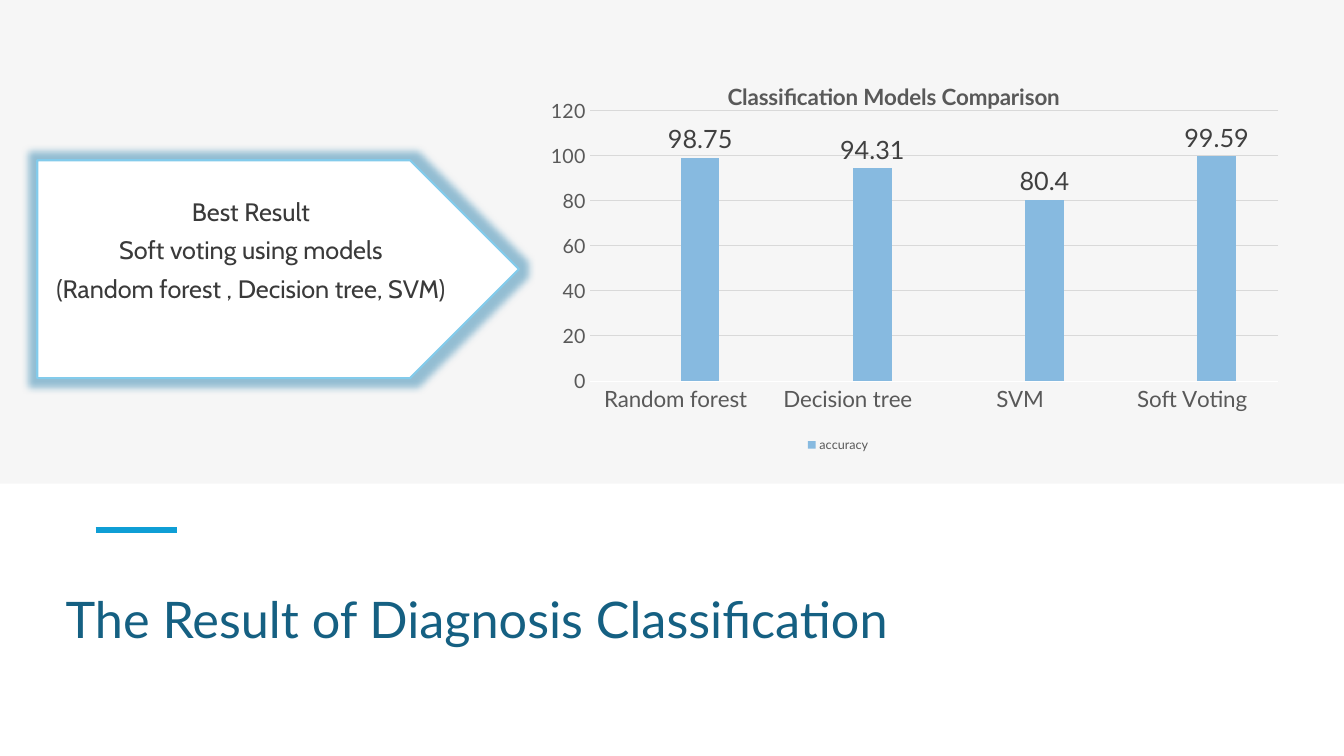
from pptx import Presentation
from pptx.chart.data import CategoryChartData as ChartData
from pptx.dml.color import RGBColor
from pptx.enum.chart import XL_CHART_TYPE as Kind, XL_LABEL_POSITION as Spot
from pptx.enum.chart import XL_LEGEND_POSITION as Side, XL_TICK_MARK as Tick
from pptx.enum.shapes import MSO_CONNECTOR as Link, MSO_SHAPE as Shape
from pptx.enum.text import MSO_ANCHOR as Anchor, MSO_AUTO_SIZE as Auto, PP_ALIGN as Align
from pptx.oxml import parse_xml
from pptx.oxml.ns import nsdecls, qn
from pptx.util import Cm, Pt

WHITE = RGBColor(0xFF, 0xFF, 0xFF)
PALE = RGBColor(0xF2, 0xF2, 0xF2)
NAVY = RGBColor(0x15, 0x60, 0x82)
BLUE = RGBColor(0x0F, 0x9E, 0xD5)
SKY = RGBColor(0x83, 0xCB, 0xEB)
TEAL = RGBColor(0x0D, 0x8C, 0xBD)
BAR = RGBColor(0x87, 0xBA, 0xE0)
GLOW = RGBColor(0x00, 0x69, 0x9E)
INK = RGBColor(0x3A, 0x3A, 0x3A)
DARK = RGBColor(0x40, 0x40, 0x40)
GREY = RGBColor(0x59, 0x59, 0x59)
GRID = RGBColor(0xD9, 0xD9, 0xD9)

SCORES = {"Random forest": 98.75, "Decision tree": 94.31, "SVM": 80.4, "Soft Voting": 99.59}
RESULT = ("Best Result", "Soft voting using models", "(Random forest , Decision tree, SVM)")


def assign(item, **values):
    """Set each named attribute of an item."""
    for name, value in values.items():
        setattr(item, name, value)


def style(font, size, color, face="Lato", bold=False):
    """Format a font."""
    assign(font, size=Pt(size), name=face, bold=bold)
    font.color.rgb = color


def paint(item, color):
    """Give an item a solid fill."""
    item.fill.solid()
    item.fill.fore_color.rgb = color


def stroke(line, color, width):
    """Give a line a colour and a width in points."""
    line.color.rgb = color
    line.width = Pt(width)


def place(part, after, target="", **spots):
    """Fix the layout of a chart part, behind its first children."""
    for old in part.findall(qn("c:layout")):
        part.remove(old)
    modes = "".join(f'<c:{key}Mode val="edge"/>' for key in "xy")
    values = "".join(f'<c:{key} val="{value}"/>' for key, value in spots.items())
    part.insert(after, parse_xml(
        f'<c:layout {nsdecls("c")}><c:manualLayout>{target}{modes}{values}'
        "</c:manualLayout></c:layout>"))


def add_title(slide, left, top, width, height):
    """Place the slide title in its box."""
    title = slide.shapes.title
    assign(title, left=left, top=top, width=width, height=height)
    frame = title.text_frame
    assign(frame, text="The Result of Diagnosis Classification", word_wrap=True,
           auto_size=Auto.NONE, vertical_anchor=Anchor.MIDDLE)
    para = frame.paragraphs[0]
    assign(para, alignment=Align.LEFT, line_spacing=0.9, space_after=Pt(3.5))
    style(para.font, 36, NAVY)


def add_band(slide, left, top, width, height):
    """Draw the pale band and the short accent rule below it."""
    band = slide.shapes.add_shape(Shape.RECTANGLE, left, top, width, height)
    band.shadow.inherit = False
    paint(band, PALE)
    band.line.fill.background()
    tint = band._element.spPr.find(".//" + qn("a:srgbClr"))
    tint.append(parse_xml(f'<a:alpha {nsdecls("a")} val="65000"/>'))
    start, level = left + Cm(2.41), top + height + Cm(1.17)
    rule = slide.shapes.add_connector(Link.STRAIGHT, start, level, start + Cm(2.04), level)
    stroke(rule.line, BLUE, 4.5)
    rule._element.spPr.append(parse_xml(f'<a:effectLst {nsdecls("a")}/>'))


def format_axes(chart):
    """Format both axes and the grid."""
    cats, vals = chart.category_axis, chart.value_axis
    for axis, size in ((cats, 16), (vals, 14)):
        assign(axis, major_tick_mark=Tick.NONE, minor_tick_mark=Tick.NONE)
        style(axis.tick_labels.font, size, GREY)
    stroke(cats.format.line, WHITE, 0.75)
    vals.format.line.fill.background()
    assign(vals, minimum_scale=0, maximum_scale=120, major_unit=20, has_major_gridlines=True)
    stroke(vals.major_gridlines.format.line, GRID, 0.75)


def format_bars(plot):
    """Format the bars and the value labels."""
    assign(plot, gap_width=219, overlap=-27, vary_by_categories=False)
    for series, color, size in zip(plot.series, (TEAL, BAR), (20, 18)):
        paint(series.format, color)
        labels = series.data_labels
        assign(labels, show_value=True, position=Spot.OUTSIDE_END)
        style(labels.font, size, DARK)


def add_scores(slide, left, top, width, height):
    """Place the model comparison chart in its box."""
    data = ChartData()
    data.categories = list(SCORES)
    data.add_series("Series 1", [None] * len(SCORES))
    data.add_series("accuracy", list(SCORES.values()))
    chart = slide.shapes.add_chart(Kind.COLUMN_CLUSTERED, left, top, width, height, data).chart
    style(chart.font, 10, GREY)
    format_axes(chart)
    format_bars(chart.plots[0])
    assign(chart, has_title=True, has_legend=True)
    head = chart.chart_title.text_frame
    head.text = "Classification Models Comparison"
    style(head.paragraphs[0].runs[0].font, 16, GREY, bold=True)
    place(chart.chart_title._element, 1, x=0.245, y=0.02)
    legend = chart.legend
    assign(legend, position=Side.BOTTOM, include_in_layout=False)
    style(legend.font, 9, GREY)
    legend._element.insert(1, parse_xml(
        f'<c:legendEntry {nsdecls("c")}><c:idx val="0"/><c:delete val="1"/></c:legendEntry>'))
    place(legend._element, 2, x=0.35, y=0.92)
    area = chart._chartSpace.chart.plotArea
    place(area, 0, '<c:layoutTarget val="inner"/>', x=0.07, y=0.105, w=0.9, h=0.684)


def add_result(slide, left, top, width, height):
    """Draw the glowing arrow with the best result."""
    arrow = slide.shapes.add_shape(Shape.PENTAGON, left, top, width, height)
    paint(arrow, WHITE)
    stroke(arrow.line, SKY, 1.5)
    arrow._element.spPr.append(parse_xml(
        f'<a:effectLst {nsdecls("a")}><a:glow rad="139700"><a:srgbClr val="{GLOW}">'
        '<a:alpha val="40000"/></a:srgbClr></a:glow></a:effectLst>'))
    frame = arrow.text_frame
    assign(frame, text="\n".join(RESULT), word_wrap=True,
           vertical_anchor=Anchor.MIDDLE, margin_bottom=Cm(1.1))
    for para in frame.paragraphs:
        assign(para, alignment=Align.CENTER, space_after=Pt(6))
        style(para.font, 18, INK, "Cabin")


def main():
    """Build the slide and save it."""
    deck = Presentation()
    assign(deck, slide_width=Cm(33.87), slide_height=Cm(19.05))
    slide = deck.slides.add_slide(deck.slide_layouts.get_by_name("Title Only"))
    add_title(slide, Cm(1.4), Cm(14.86), Cm(28.09), Cm(1.65))
    add_band(slide, 0, 0, deck.slide_width, Cm(12.19))
    add_scores(slide, Cm(13.51), Cm(1.73), Cm(19.28), Cm(9.98))
    add_result(slide, Cm(0.94), Cm(4.04), Cm(12.14), Cm(5.49))
    deck.save("out.pptx")


if __name__ == "__main__":
    main()
